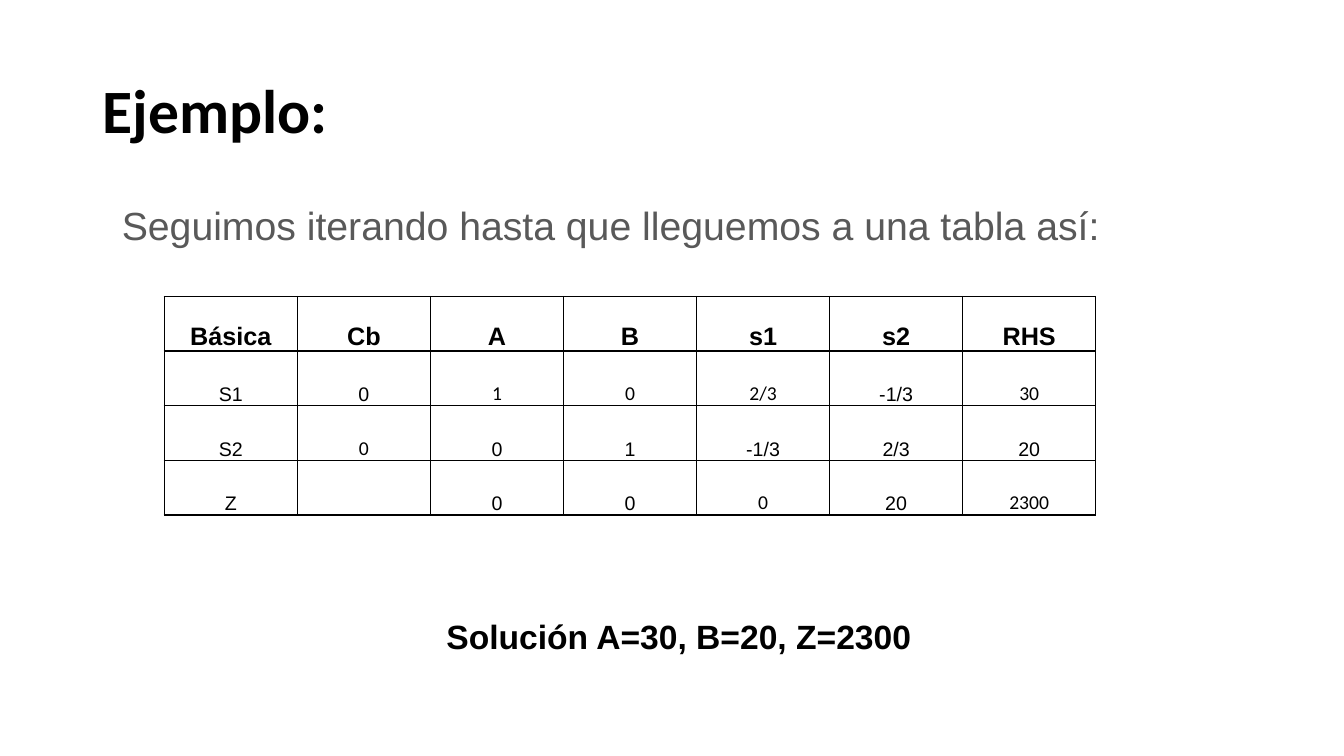
from lxml import etree
from pptx import Presentation
from pptx.dml.color import RGBColor
from pptx.enum.text import MSO_ANCHOR, PP_ALIGN
from pptx.oxml.ns import qn
from pptx.util import Inches, Pt

BLACK = RGBColor(0x00, 0x00, 0x00)
GRAY = RGBColor(0x59, 0x59, 0x59)
MIDDLE, TOP, BOTTOM = MSO_ANCHOR.MIDDLE, MSO_ANCHOR.TOP, MSO_ANCHOR.BOTTOM
CENTER = PP_ALIGN.CENTER
ARIAL, CALIBRI = "Arial", "Calibri"

TABLEAU = [
    ["Básica", "Cb", "A", "B", "s1", "s2", "RHS"],
    ["S1", "0", "1", "0", "2/3", "-1/3", "30"],
    ["S2", "0", "0", "1", "-1/3", "2/3", "20"],
    ["Z", "", "0", "0", "0", "20", "2300"],
]
# (row, column) of the values set in Calibri
CALIBRI_CELLS = {(1, 2), (1, 3), (1, 4), (1, 6), (2, 1), (3, 4), (3, 6)}


def write(p, text, font, size, color=BLACK, bold=False):
    r = p.add_run()
    r.text = text
    r.font.color.rgb = color
    for name, value in {"name": font, "size": Pt(size), "bold": bold}.items():
        setattr(r.font, name, value)


def add_text(slide, box, text, font, size, color=BLACK, bold=False,
             anchor=TOP, wrap=True, spacing=None):
    """Add a one-paragraph text box and return its paragraph."""
    tf = slide.shapes.add_textbox(*map(Inches, box)).text_frame
    tf.word_wrap = wrap
    tf.vertical_anchor = anchor
    p = tf.paragraphs[0]
    p.line_spacing = spacing
    write(p, text, font, size, color, bold)
    return p


def add_heading(slide, box):
    add_text(slide, box, "Ejemplo:", CALIBRI, 44, bold=True,
             anchor=MIDDLE, spacing=0.9)


def add_lead(slide, box):
    p = add_text(slide, box,
                 "Seguimos iterando hasta que lleguemos a una tabla así:",
                 ARIAL, 28, GRAY, spacing=0.9)
    pPr = p._p.get_or_add_pPr()
    pPr.set("marL", str(Inches(0.25)))
    pPr.set("indent", str(Inches(-0.06)))


def add_borders(cell):
    tcPr = cell._tc.get_or_add_tcPr()
    for i, side in enumerate(("lnL", "lnR", "lnT", "lnB")):
        ln = etree.Element(qn(f"a:{side}"), w=str(Pt(1)))
        fill = etree.SubElement(ln, qn("a:solidFill"))
        etree.SubElement(fill, qn("a:srgbClr"), val=str(BLACK))
        tcPr.insert(i, ln)


def add_tableau(slide, box):
    left, top, width, height = map(Inches, box)
    rows, cols = len(TABLEAU), len(TABLEAU[0])
    table = slide.shapes.add_table(rows, cols, left, top, width, height).table
    table.first_row = table.horz_banding = False
    cell_format = {
        "vertical_anchor": BOTTOM, "margin_left": Inches(0.01),
        "margin_right": Inches(0.01), "margin_top": Inches(0.01),
        "margin_bottom": 0,
    }
    for i, values in enumerate(TABLEAU):
        for j, value in enumerate(values):
            cell = table.cell(i, j)
            for name, setting in cell_format.items():
                setattr(cell, name, setting)
            cell.fill.background()
            add_borders(cell)
            p = cell.text_frame.paragraphs[0]
            p.alignment = CENTER
            if value:
                font = CALIBRI if (i, j) in CALIBRI_CELLS else ARIAL
                write(p, value, font, 18 if i == 0 else 14, bold=i == 0)


def add_solution(slide, box):
    add_text(slide, box, "Solución A=30, B=20, Z=2300", ARIAL, 24,
             bold=True, wrap=False)


def main():
    prs = Presentation()
    prs.slide_width, prs.slide_height = Inches(13.33), Inches(7.5)
    slide = prs.slides.add_slide(prs.slide_layouts[6])
    add_heading(slide, (0.92, 0.4, 11.5, 1.45))
    add_lead(slide, (0.92, 2, 11.5, 4.76))
    add_tableau(slide, (1.63, 2.94, 9.24, 2.17))
    add_solution(slide, (4.33, 6.06, 4.87, 0.5))
    prs.save("out.pptx")


if __name__ == "__main__":
    main()
